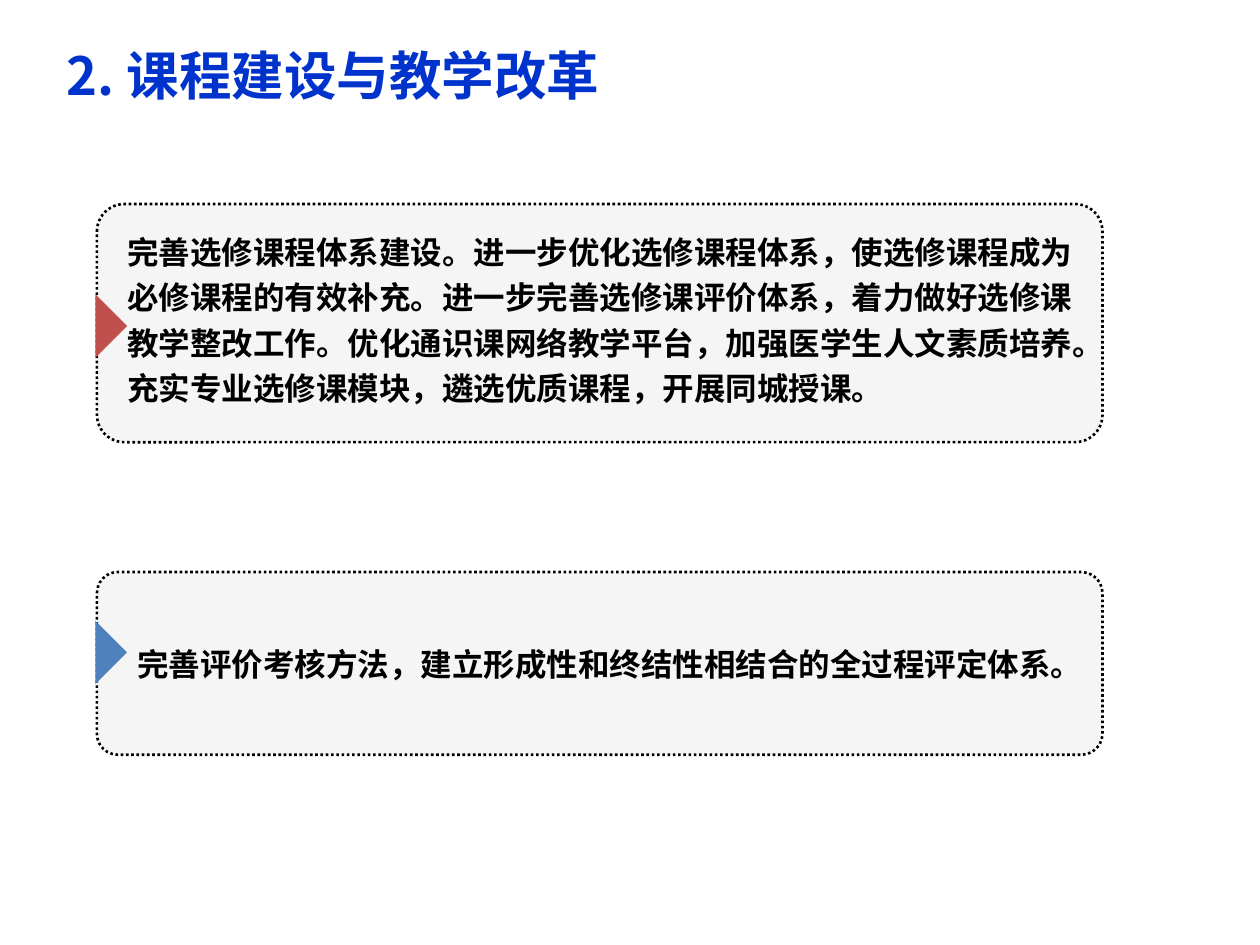
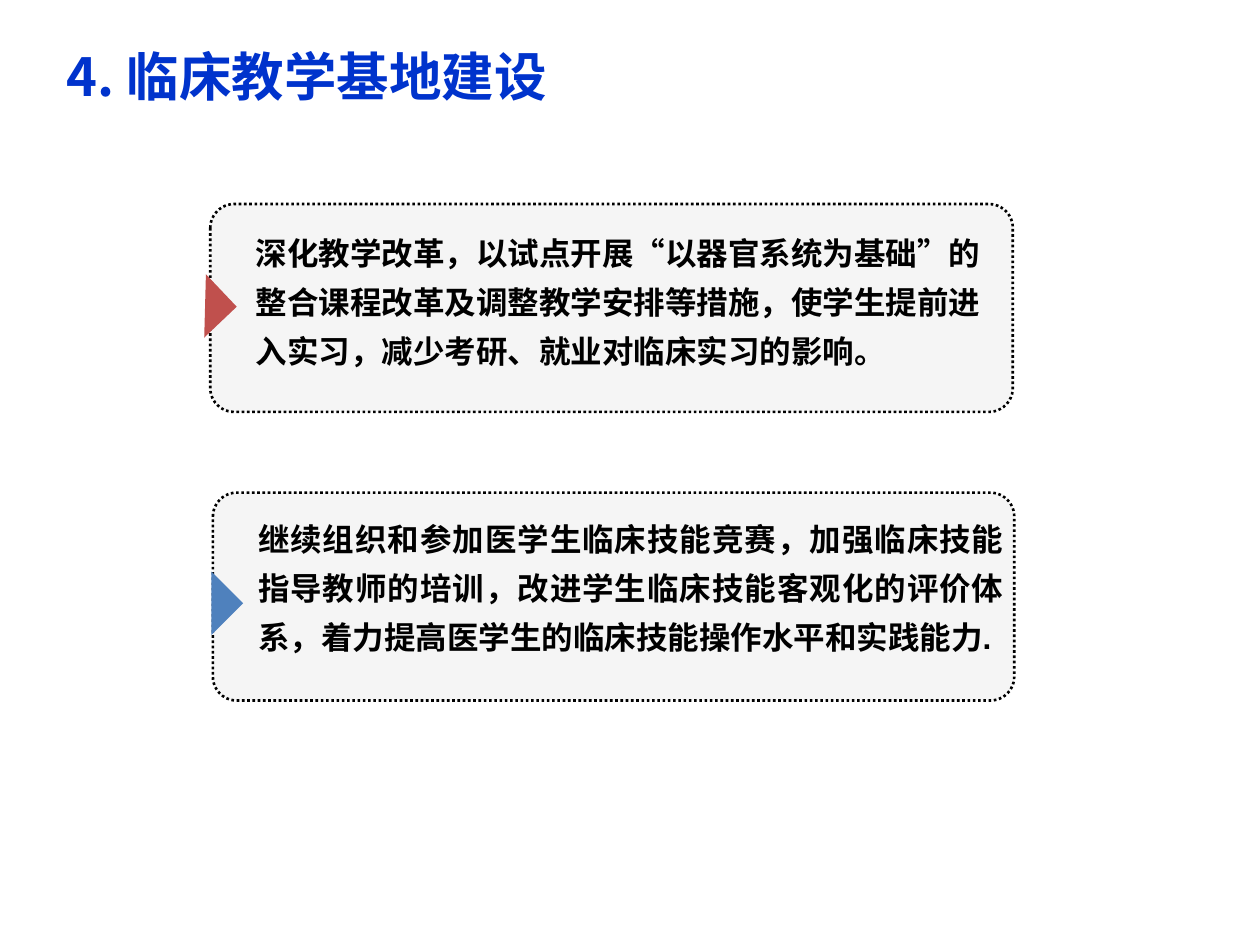
from dataclasses import dataclass

from lxml import etree
from pptx import Presentation
from pptx.dml.color import RGBColor
from pptx.enum.dml import MSO_LINE
from pptx.enum.shapes import MSO_SHAPE as SHAPE
from pptx.enum.text import MSO_ANCHOR as ANCHOR, MSO_AUTO_SIZE as AUTO, PP_ALIGN as ALIGN
from pptx.oxml.ns import qn
from pptx.util import Pt

TITLE_BLUE = RGBColor(0x00, 0x33, 0xCC)
BLACK = RGBColor(0x00, 0x00, 0x00)
CARD_GRAY = RGBColor(0x4D, 0x4D, 0x4D)
RED = RGBColor(0xC0, 0x50, 0x4D)
BLUE = RGBColor(0x4F, 0x81, 0xBD)

LATIN_FONT = "Arial"
CJK_FONT = "Noto Sans CJK SC"
CARD_OPACITY = 5
MARKER_SIZE = 25.6


@dataclass
class Card:
    """A measure card; text and marker places are offsets from its box, in points."""
    box: tuple
    text_offset: tuple
    text_size: tuple
    marker_offset: tuple
    marker_color: RGBColor
    runs: list
    line_spacing: float
    align: ALIGN = ALIGN.LEFT
    marker_angle: float = 225


COURSE_CARDS = [
    Card((55.4, 116.6, 574.6, 136.1), (10.1, 8.7), (555.1, 136.8), (-13.7, 56.9), RED,
         [("完善选修课程体系建设。进一步优化选修课程体系，使选修课程成为必修课程的有效补充。"
           "进一步完善选修课评价体系，着力做好选修课教学整改工作。优化通识课网络教学平台，"
           "加强医学生人文素质培养。充实专业选修课模块，遴选优质课程，开展同城授课。", LATIN_FONT)],
         1.2),
    Card((55.4, 326.9, 574.6, 104.4), (15.9, 33.8), (555.1, 33.1), (-13.7, 33.1), BLUE,
         [("完善评价考核方法，建立形成性和终结性相结合的全过程评定体系。", LATIN_FONT)],
         1.2),
]

CLINICAL_CARDS = [
    Card((120.2, 116.6, 458.6, 118.8), (18.8, 7.2), (436.3, 91.4), (-15.8, 45.4), RED,
         [("深化教学改革，以试点开展", LATIN_FONT), ("“", CJK_FONT),
          ("以器官系统为基础", LATIN_FONT), ("”", CJK_FONT),
          ("的整合课程改革及调整教学安排等措施，使学生提前进入实习，"
           "减少考研、就业对临床实习的影响。", LATIN_FONT)],
         1.3, marker_angle=226.5),
    Card((121.7, 281.5, 457.9, 118.8), (18.7, 5.8), (440.6, 91.4), (-13.7, 50.4), BLUE,
         [("继续组织和参加医学生临床技能竞赛，加强临床技能指导教师的培训，"
           "改进学生临床技能客观化的评价体系，着力提高医学生的临床技能操作水平和实践能力.",
           LATIN_FONT)],
         1.3, align=ALIGN.JUSTIFY),
]


def add_run(paragraph, text, size, color, font_name):
    run = paragraph.add_run()
    run.text = text
    run.font.size = Pt(size)
    run.font.bold = True
    run.font.color.rgb = color
    run.font.name = font_name
    east_asian = etree.SubElement(run._r.get_or_add_rPr(), qn("a:ea"))
    east_asian.set("typeface", CJK_FONT)


def prepare_frame(frame):
    """Set wrapping, growth and insets, and return the first paragraph."""
    frame.word_wrap = True
    frame.auto_size = AUTO.SHAPE_TO_FIT_TEXT
    frame.vertical_anchor = ANCHOR.TOP
    frame.margin_left = frame.margin_right = Pt(7.2)
    frame.margin_top = frame.margin_bottom = Pt(3.6)
    return frame.paragraphs[0]


def add_filled_shape(slide, kind, box, color):
    shape = slide.shapes.add_shape(kind, *map(Pt, box))
    shape.shadow.inherit = False
    shape.fill.solid()
    shape.fill.fore_color.rgb = color
    return shape


def add_title(slide, text, top):
    title = slide.shapes.title
    title.left, title.top, title.width, title.height = map(Pt, (31, top, 380.2, 43.2))
    paragraph = prepare_frame(title.text_frame)
    paragraph.alignment = ALIGN.LEFT
    add_run(paragraph, text, 30, TITLE_BLUE, CJK_FONT)


def add_panel(slide, box):
    """Draw the translucent rounded card with its dotted border."""
    panel = add_filled_shape(slide, SHAPE.ROUNDED_RECTANGLE, box, CARD_GRAY)
    panel.adjustments[0] = 0.115
    fill_color = panel._element.spPr.find(qn("a:solidFill")).find(qn("a:srgbClr"))
    etree.SubElement(fill_color, qn("a:alpha")).set("val", str(CARD_OPACITY * 1000))
    panel.line.color.rgb = BLACK
    panel.line.width = Pt(1.5)
    panel.line.dash_style = MSO_LINE.ROUND_DOT


def add_card(slide, card):
    left, top = card.box[:2]
    add_panel(slide, card.box)

    dx, dy = card.text_offset
    measure = slide.shapes.add_textbox(*map(Pt, (left + dx, top + dy, *card.text_size)))
    paragraph = prepare_frame(measure.text_frame)
    paragraph.alignment = card.align
    paragraph.line_spacing = card.line_spacing
    for text, font_name in card.runs:
        add_run(paragraph, text, 18, BLACK, font_name)

    dx, dy = card.marker_offset
    marker = add_filled_shape(slide, SHAPE.RIGHT_TRIANGLE,
                              (left + dx, top + dy, MARKER_SIZE, MARKER_SIZE),
                              card.marker_color)
    marker.line.fill.background()
    marker.rotation = card.marker_angle


def add_measures_slide(deck, title, title_top, cards):
    slide = deck.slides.add_slide(deck.slide_layouts.get_by_name("Title Only"))
    add_title(slide, title, title_top)
    for card in cards:
        add_card(slide, card)


def main():
    deck = Presentation()
    deck.slide_width, deck.slide_height = Pt(720), Pt(540)
    add_measures_slide(deck, "2. 课程建设与教学改革", 20.9, COURSE_CARDS)
    add_measures_slide(deck, "4. 临床教学基地建设", 21.6, CLINICAL_CARDS)
    deck.save("out.pptx")


if __name__ == "__main__":
    main()
